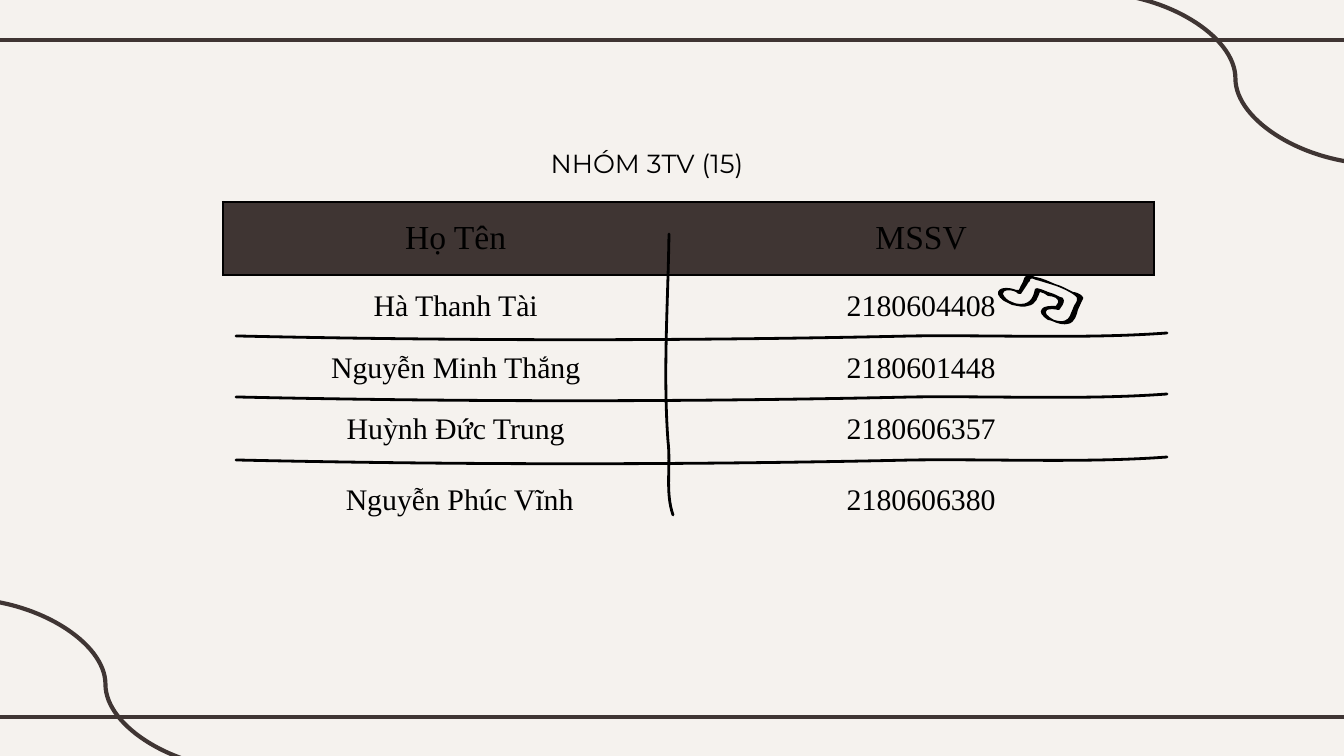
from lxml.etree import SubElement
from pptx import Presentation
from pptx.dml.color import RGBColor
from pptx.enum.shapes import MSO_CONNECTOR
from pptx.enum.text import MSO_ANCHOR, PP_ALIGN
from pptx.oxml import parse_xml
from pptx.oxml.ns import nsdecls, qn
from pptx.util import Emu, Pt

EMU_PER_PX = 914400 / 134.4
CREAM = RGBColor(0xF5, 0xF2, 0xEE)
BROWN = RGBColor(0x3F, 0x35, 0x33)
BLACK = RGBColor(0, 0, 0)
PLAIN_TABLE = "{2D5ABB26-0587-4C30-8999-92F81FD0307C}"

HEADER = ("Họ Tên", "MSSV")
MEMBERS = [
    ("Hà Thanh Tài", "2180604408"),
    ("Nguyễn Minh Thắng", "2180601448"),
    ("Huỳnh Đức Trung", "2180606357"),
    ("Nguyễn Phúc Vĩnh", "2180606380"),
]
LAST_MEMBER_ROW = len(MEMBERS)

COLUMN_STROKE = [(669, 234), (668, 304), (663, 372), (668, 441),
                 (671, 466), (665, 492), (673, 515)]
ROW_STROKE = [(236, 336), (460, 341), (690, 341), (913, 336),
              (997, 335), (1087, 339), (1167, 333)]
ROW_STROKE_OFFSETS = (0, 61, 124)

NOTE_OUTER = [
    (1055, 284), (1048, 281), (1042, 278), (1035, 277),
    (1032, 276), (1030, 274), (1027, 276), (1024, 276), (1024, 280), (1023, 282),
    (1021, 285), (1020, 288), (1019, 290), (1018, 290), (1017, 290), (1016, 290),
    (1001, 284), (991, 292), (1004, 301), (1007, 302), (1009, 304), (1012, 305),
    (1017, 306), (1024, 308), (1028, 306), (1036, 305), (1038, 297), (1040, 292),
    (1043, 293), (1046, 294), (1048, 296), (1051, 296), (1054, 297), (1056, 298),
    (1060, 301), (1058, 304), (1056, 306), (1050, 306), (1044, 306), (1042, 309),
    (1039, 312), (1042, 316), (1048, 320), (1050, 320), (1051, 321), (1052, 321),
    (1058, 324), (1064, 325), (1068, 324), (1075, 323), (1077, 314), (1078, 310),
    (1079, 307), (1081, 304), (1082, 301), (1082, 300), (1085, 298), (1082, 296),
    (1081, 294), (1075, 292), (1073, 292), (1067, 289), (1062, 286), (1055, 284),
]
NOTE_INNER = [
    (1056, 286), (1067, 290), (1077, 296), (1077, 298),
    (1078, 301), (1075, 304), (1074, 306), (1073, 309), (1071, 313), (1070, 316),
    (1068, 320), (1064, 323), (1054, 320), (1047, 316), (1044, 313), (1047, 310),
    (1050, 309), (1054, 309), (1058, 310), (1059, 310), (1060, 310), (1060, 309),
    (1062, 306), (1064, 304), (1064, 300), (1064, 300), (1063, 300), (1063, 298),
    (1059, 297), (1055, 294), (1051, 293), (1047, 292), (1044, 290), (1040, 289),
    (1038, 288), (1036, 288), (1035, 289), (1034, 294), (1032, 304), (1021, 304),
    (1019, 304), (1016, 304), (1012, 302), (1008, 301), (1004, 297), (1003, 294),
    (1003, 290), (1009, 289), (1016, 292), (1017, 293), (1017, 294), (1021, 294),
    (1023, 291), (1025, 288), (1027, 285), (1028, 284), (1028, 282), (1030, 281),
    (1030, 278), (1032, 278), (1036, 280), (1037, 280), (1039, 281), (1040, 281),
    (1043, 282), (1050, 284), (1056, 286),
]


def px(length):
    return Emu(round(length * EMU_PER_PX))


def add_rule(slide, kind, left, top, right, bottom):
    rule = slide.shapes.add_connector(kind, px(left), px(top), px(right), px(bottom))
    rule.line.color.rgb = BROWN
    rule.line.width = Pt(2.25)
    SubElement(rule.element.spPr, qn("a:effectLst"))


def bend_lines(shape):
    lines = list(shape.element.iter(qn("a:lnTo")))
    for first in range(0, len(lines), 3):
        curve, *others = lines[first:first + 3]
        curve.tag = qn("a:cubicBezTo")
        for line in others:
            curve.append(line[0])
            line.getparent().remove(line)


def add_outline(slide, contours, close):
    outlines = [[(px(x), px(y)) for x, y in contour] for contour in contours]
    builder = slide.shapes.build_freeform(*outlines[0][0])
    for index, points in enumerate(outlines):
        if index:
            builder.move_to(*points[0])
        builder.add_line_segments(points[1:], close=close)
    shape = builder.convert_to_shape()
    bend_lines(shape)
    shape.shadow.inherit = False
    return shape


def add_stroke(slide, knots):
    stroke = add_outline(slide, [knots], False)
    stroke.fill.background()
    stroke.line.color.rgb = BLACK
    stroke.line.width = Pt(1.5)
    stroke.element.spPr.find(qn("a:ln")).set("cap", "rnd")


def add_note(slide):
    note = add_outline(slide, [NOTE_OUTER, NOTE_INNER], True)
    note.fill.solid()
    note.fill.fore_color.rgb = BLACK
    note.line.fill.background()


def style_text(para, font_name, size):
    para.alignment = PP_ALIGN.CENTER
    para.font.name = font_name
    para.font.size = Pt(size)
    para.font.color.rgb = BLACK


def set_margins(holder, margin):
    holder.margin_left = holder.margin_right = px(margin)
    holder.margin_top = holder.margin_bottom = px(margin)


def add_borders(cell, sides):
    properties = cell._tc.get_or_add_tcPr()
    for index, side in enumerate(sides):
        properties.insert(index, parse_xml(
            f'<a:ln{side} {nsdecls("a")} w="{Pt(1.5)}"><a:solidFill>'
            f'<a:srgbClr val="{BLACK}"/></a:solidFill></a:ln{side}>'))


def fill_cell(cell, text, row):
    para = cell.text_frame.paragraphs[0]
    para.text = text
    style_text(para, "Times New Roman", 16 if row else 18)
    cell.vertical_anchor = MSO_ANCHOR.MIDDLE
    if row == LAST_MEMBER_ROW:
        para.line_spacing = 1.5
    set_margins(cell, 0 if row == LAST_MEMBER_ROW else 13)
    if row:
        cell.fill.background()
    else:
        cell.fill.solid()
        cell.fill.fore_color.rgb = BROWN


def add_member_table(slide):
    rows = [HEADER, *MEMBERS]
    frame = slide.shapes.add_table(len(rows) + 1, 2, px(223), px(202), px(931), px(383))
    table = frame.table
    table.first_row = table.horz_banding = False
    for style in frame.element.iter(qn("a:tableStyleId")):
        style.text = PLAIN_TABLE
    for column in table.columns:
        column.width = px(931) // 2
    for row, line in enumerate(table.rows):
        line.height = px(62 if row else 73)
    for row, texts in enumerate(rows):
        for column, text in enumerate(texts):
            fill_cell(table.cell(row, column), text, row)
    for cell in table.rows[len(rows)].cells:
        cell.fill.background()
    last_name = table.cell(LAST_MEMBER_ROW, 0).text_frame.paragraphs[0]
    last_name._p.get_or_add_pPr().set("marL", str(px(8)))
    add_borders(table.cell(0, 0), "LTB")
    add_borders(table.cell(0, 1), "RTB")


def add_title(slide):
    box = slide.shapes.add_textbox(px(128), px(134), px(1038), px(65))
    box.text_frame.word_wrap = True
    set_margins(box.text_frame, 13)
    para = box.text_frame.paragraphs[0]
    para.text = "NHÓM 3TV (15)"
    style_text(para, "Montserrat", 14)


def main():
    deck = Presentation()
    deck.slide_width, deck.slide_height = px(1344), px(756)
    slide = deck.slides.add_slide(deck.slide_layouts[6])
    slide.background.fill.solid()
    slide.background.fill.fore_color.rgb = CREAM
    for height in (40, 717):
        add_rule(slide, MSO_CONNECTOR.STRAIGHT, -11, height, 1355, height)
    for left, top in ((-36, 599), (1094, -7)):
        add_rule(slide, MSO_CONNECTOR.CURVE, left, top, left + 283, top + 171)
    add_member_table(slide)
    add_stroke(slide, COLUMN_STROKE)
    for offset in ROW_STROKE_OFFSETS:
        add_stroke(slide, [(x, y + offset) for x, y in ROW_STROKE])
    add_note(slide)
    add_title(slide)
    deck.save("out.pptx")


if __name__ == "__main__":
    main()
